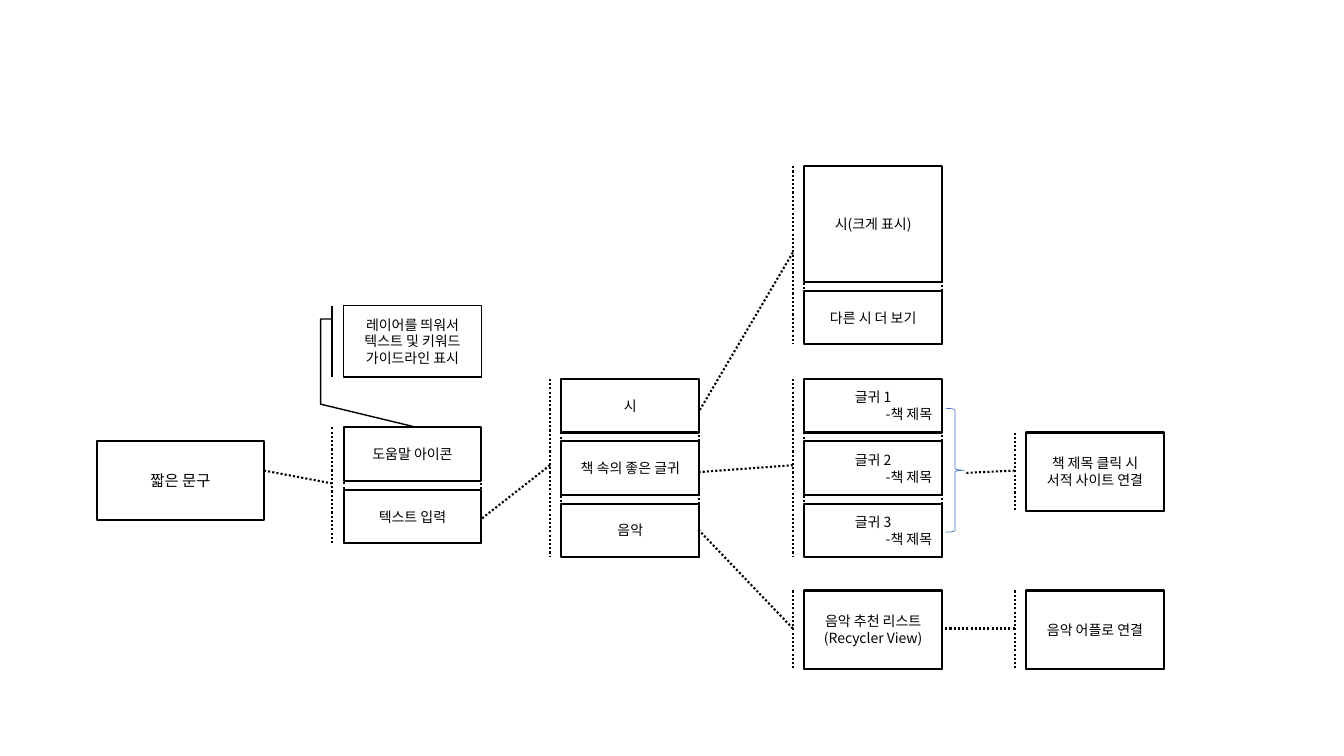
from lxml import etree
from pptx import Presentation
from pptx.dml.color import RGBColor
from pptx.enum.dml import MSO_LINE
from pptx.enum.shapes import MSO_SHAPE
from pptx.enum.text import MSO_ANCHOR, PP_ALIGN
from pptx.oxml.ns import qn
from pptx.util import Cm, Pt

RECT = MSO_SHAPE.RECTANGLE
BRACE = MSO_SHAPE.RIGHT_BRACE
DOTTED_CALLOUT = MSO_SHAPE.LINE_CALLOUT_1_BORDER_AND_ACCENT_BAR
BENT_CALLOUT = MSO_SHAPE.LINE_CALLOUT_3_ACCENT_BAR
DOT = MSO_LINE.ROUND_DOT
MIDDLE = MSO_ANCHOR.MIDDLE
CENTER, RIGHT = PP_ALIGN.CENTER, PP_ALIGN.RIGHT

COLORS = {"ink": "000000", "brace": "4472C4"}
FONT = "Noto Sans CJK KR"

prs = Presentation()
prs.slide_width, prs.slide_height = Cm(33.87), Cm(19.05)
slide = prs.slides.add_slide(prs.slide_layouts[6])


def add_outline(kind, left, top, width, height, weight=1.5, color="ink", adjust=()):
    """Add an unfilled shape, in centimetres."""
    shape = slide.shapes.add_shape(kind, Cm(left), Cm(top), Cm(width), Cm(height))
    shape.shadow.inherit = False
    shape.fill.background()
    shape.line.color.rgb = RGBColor.from_string(COLORS[color])
    shape.line.width = Pt(weight)
    for i, value in enumerate(adjust):
        shape.adjustments[i] = value
    return shape


def add_box(text, left, top, width, height, size=10, weight=1.5):
    """Add a labelled box; lines that start with a dash go to the right."""
    frame = add_outline(RECT, left, top, width, height, weight).text_frame
    frame.word_wrap = True
    frame.vertical_anchor = MIDDLE
    frame.text = text
    for line in frame.paragraphs:
        line.alignment = RIGHT if line.text.startswith("-") else CENTER
        line.font.size = Pt(size)
        line.font.color.rgb = RGBColor.from_string(COLORS["ink"])
        line.font.name = FONT
        # Korean glyphs take the East Asian typeface
        defaults = line._p.pPr.find(qn("a:defRPr"))
        etree.SubElement(defaults, qn("a:ea"), typeface=FONT)


# Columns and box sizes
INPUT_X, TOPIC_X, RESULT_X, LINK_X = 8.66, 14.15, 20.27, 25.86
BOX_W, ROW_H, TALL_H, GAP = 3.47, 1.35, 1.98, 0.22
POEM_H = 2 * ROW_H + GAP

# Starting point
add_box("짧은 문구", 2.44, 11.12, 4.22, TALL_H, size=11)

# Stacks: left, top, pointer end (y, x as share of the stack), boxes
stacks = [
    (INPUT_X, 10.77, (0.372, -0.581), [("도움말 아이콘", ROW_H), ("텍스트 입력", ROW_H)]),
    (TOPIC_X, 9.55, (0.788, -0.586),
     [("시", ROW_H), ("책 속의 좋은 글귀", ROW_H), ("음악", ROW_H)]),
    (RESULT_X, 4.19, (1.367, -0.758), [("시(크게 표시)", POEM_H), ("다른 시 더 보기", ROW_H)]),
    (RESULT_X, 9.55, (0.523, -0.771),
     [(f"글귀 {number}\n-책 제목", ROW_H) for number in (1, 2, 3)]),
    (RESULT_X, 14.88, (-0.782, -0.774), [("음악 추천 리스트\n(Recycler View)", TALL_H)]),
    (LINK_X, 10.9, (0.514, -0.437), [("책 제목 클릭 시\n서적 사이트 연결", TALL_H)]),
    (LINK_X, 14.88, (0.484, -0.621), [("음악 어플로 연결", TALL_H)]),
]
for left, top, pointer_end, boxes in stacks:
    stack_h = sum(height for _, height in boxes) + GAP * (len(boxes) - 1)
    callout = add_outline(DOTTED_CALLOUT, left, top, BOX_W, stack_h,
                          adjust=(0.484, -0.083, *pointer_end))
    callout.line.dash_style = DOT
    for text, height in boxes:
        add_box(text, left, top, BOX_W, height)
        top += height + GAP

# Guideline layer opened by the help icon
guide = (INPUT_X, 7.7, BOX_W, 1.8)
add_box("레이어를 띄워서 텍스트 및 키워드 가이드라인 표시", *guide, weight=1)
add_outline(BENT_CALLOUT, *guide, weight=1,
            adjust=(0.188, -0.083, 0.188, -0.167, 1.381, -0.167, 1.696, 0.51))

# Brace that gathers the quotes
add_outline(BRACE, 23.83, 10.29, 0.48, 3.12, weight=0.5, color="brace")

prs.save("out.pptx")
